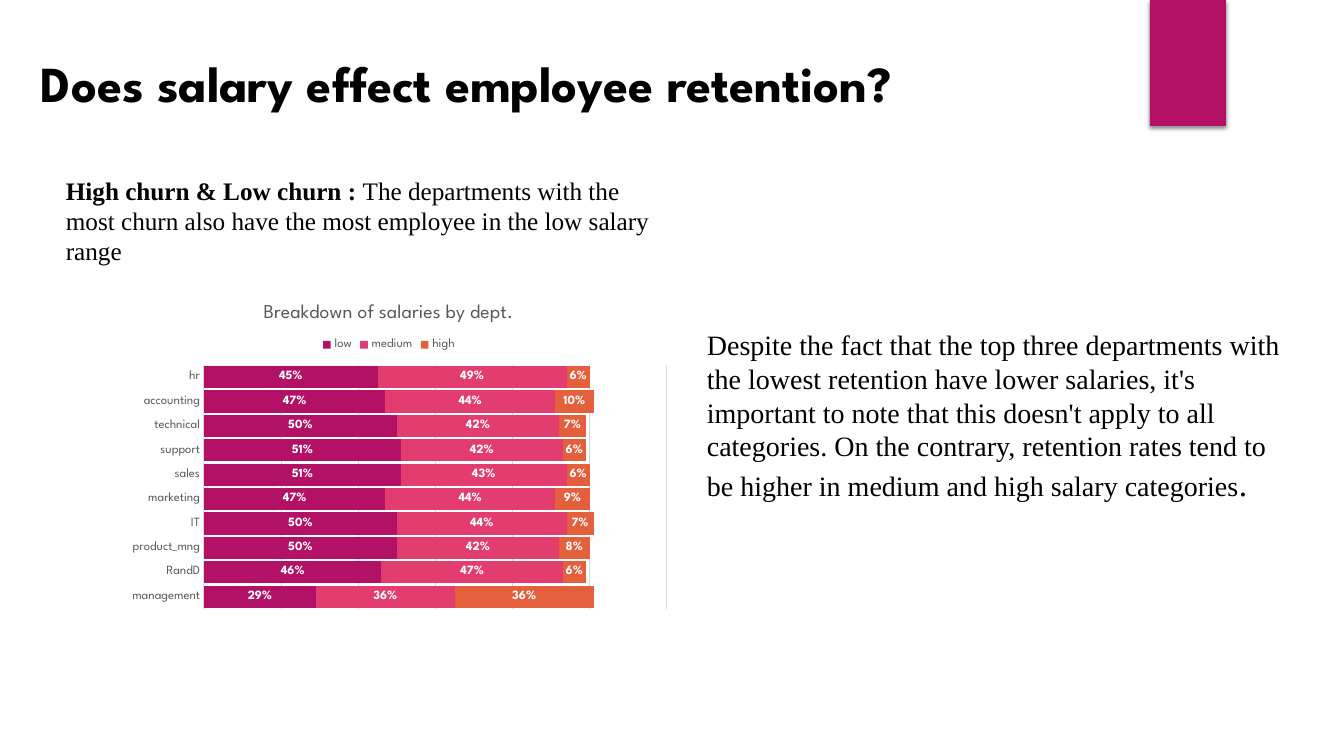
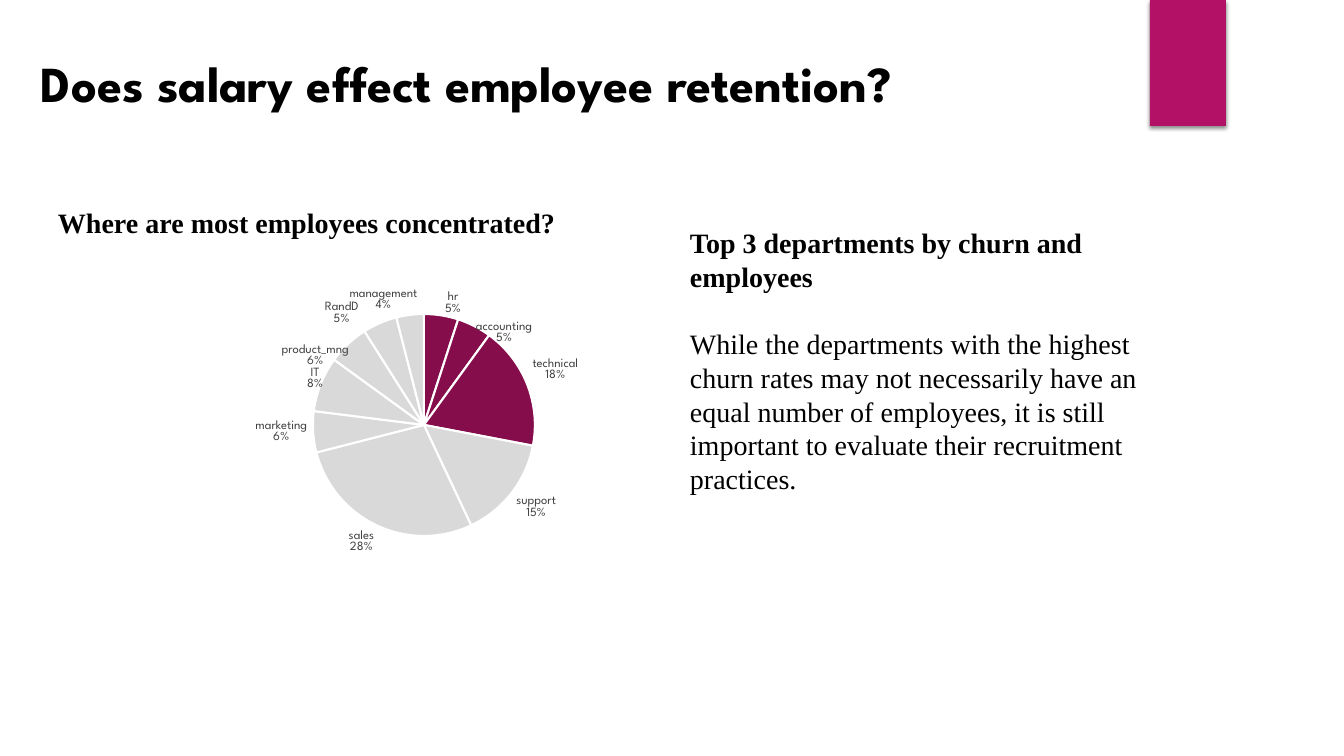
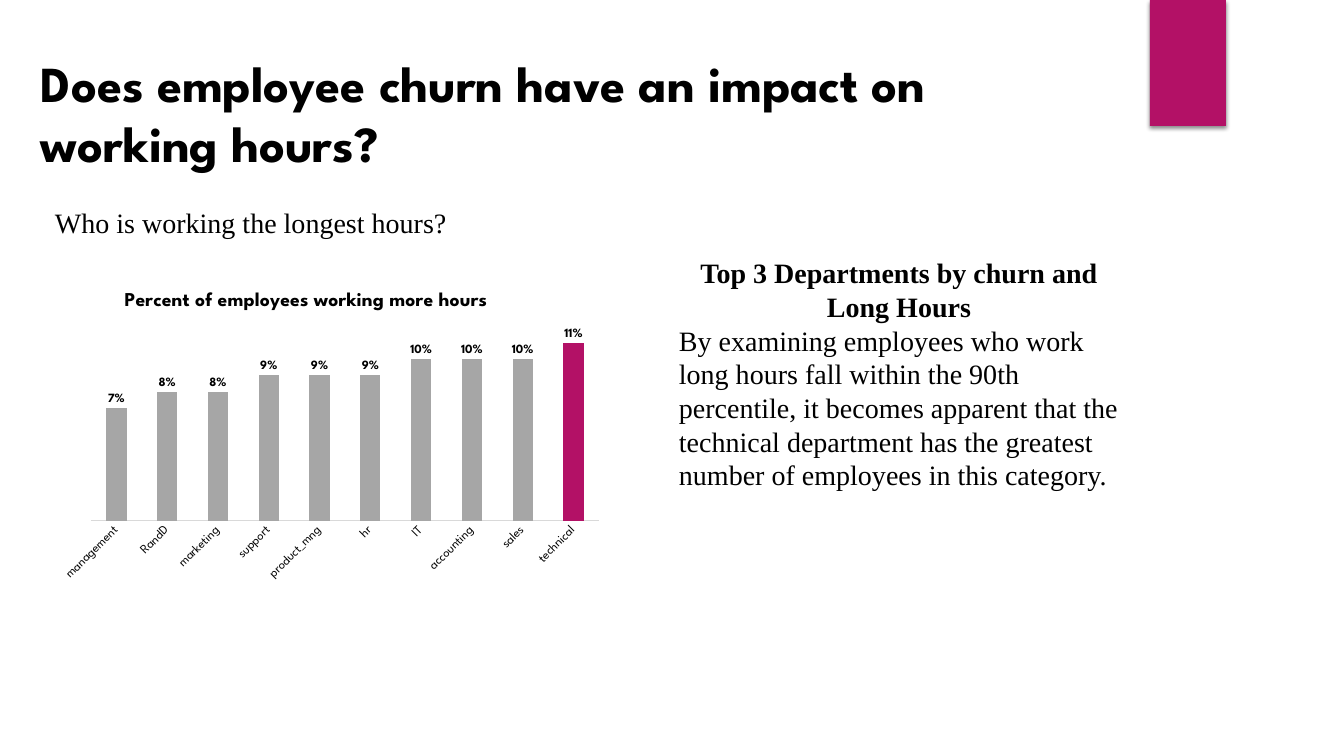
from lxml import etree
from pptx import Presentation
from pptx.chart.data import CategoryChartData
from pptx.dml.color import RGBColor
from pptx.enum.chart import XL_CHART_TYPE, XL_LABEL_POSITION, XL_LEGEND_POSITION, XL_TICK_MARK
from pptx.enum.shapes import MSO_SHAPE
from pptx.enum.text import MSO_ANCHOR, PP_ALIGN
from pptx.oxml import parse_xml
from pptx.oxml.ns import nsdecls, qn
from pptx.util import Emu, Pt

SCALE = 914400 / 100.8
COLORS = {
    "magenta": "B31166", "pink": "E33D6F", "orange": "E45F3C", "plum": "860D4C",
    "black": "000000", "white": "FFFFFF", "dark": "404040", "label": "595959",
    "bar": "A6A6A6", "light": "D9D9D9",
}
HEADING_FONT = "League Spartan"
BODY_FONT = "Times New Roman"
BAR_STACKED = XL_CHART_TYPE.BAR_STACKED
COLUMN_STACKED = XL_CHART_TYPE.COLUMN_STACKED
PIE = XL_CHART_TYPE.PIE
CENTER_LABEL = XL_LABEL_POSITION.CENTER
INSIDE_END = XL_LABEL_POSITION.INSIDE_END
OUTSIDE_END = XL_LABEL_POSITION.OUTSIDE_END
LEGEND_TOP = XL_LEGEND_POSITION.TOP
NO_TICK = XL_TICK_MARK.NONE
RECTANGLE = MSO_SHAPE.RECTANGLE
TOP = MSO_ANCHOR.TOP
LEFT, CENTER = PP_ALIGN.LEFT, PP_ALIGN.CENTER

DEPARTMENTS = ["hr", "accounting", "technical", "support", "sales",
               "marketing", "IT", "product_mng", "RandD", "management"]
SALARIES = {
    "low": ("magenta", [0.45, 0.47, 0.5, 0.51, 0.51, 0.47, 0.5, 0.5, 0.46, 0.29]),
    "medium": ("pink", [0.49, 0.44, 0.42, 0.42, 0.43, 0.44, 0.44, 0.42, 0.47, 0.36]),
    "high": ("orange", [0.06, 0.1, 0.07, 0.06, 0.06, 0.09, 0.07, 0.08, 0.06, 0.36]),
}
HEADCOUNT = [5, 5, 18, 15, 28, 6, 8, 6, 5, 4]
LONG_HOURS = {
    "management": 0.07, "RandD": 0.08, "marketing": 0.08, "support": 0.09,
    "product_mng": 0.09, "hr": 0.09, "IT": 0.1, "accounting": 0.1,
    "sales": 0.1, "technical": 0.11,
}


def px(value):
    """Turn pixels into EMU."""
    return Emu(round(value * SCALE))


def rgb(name):
    """Look up a named colour."""
    return RGBColor.from_string(COLORS[name])


def style_font(font, size, color="black", bold=False, family=HEADING_FONT):
    """Set family, size, colour and weight."""
    font.name = family
    font.size = Pt(size)
    font.bold = bold
    font.color.rgb = rgb(color)


def paint(part, color):
    """Fill a series or point with one colour."""
    part.format.fill.solid()
    part.format.fill.fore_color.rgb = rgb(color)


def add_text(page, frame, paragraphs, family=BODY_FONT, spacing=None):
    """Add a text box of (alignment, [(text, size, bold)]) paragraphs."""
    box = page.shapes.add_textbox(*map(px, frame))
    text_frame = box.text_frame
    text_frame.word_wrap = True
    text_frame.vertical_anchor = TOP
    for index, (alignment, spans) in enumerate(paragraphs):
        para = text_frame.paragraphs[0] if index == 0 else text_frame.add_paragraph()
        para.alignment = alignment
        para.line_spacing = spacing or Pt(spans[0][1] * 1.2)
        for text, size, bold in spans:
            span = para.add_run()
            span.text = text
            style_font(span.font, size, bold=bold, family=family)
    return box


def add_band(page):
    """Add the shadowed band at the top edge."""
    band = page.shapes.add_shape(RECTANGLE, *map(px, (1150, 0, 76, 126)))
    band.fill.solid()
    band.fill.fore_color.rgb = rgb("magenta")
    band.line.fill.background()
    band.shadow.inherit = False
    effects = band.element.spPr.find(qn("a:effectLst"))
    effects.append(parse_xml(
        f'<a:outerShdw {nsdecls("a")} blurRad="{Pt(3)}" dist="{Pt(2)}" dir="5400000" '
        f'algn="ctr" rotWithShape="0"><a:srgbClr val="{COLORS["black"]}">'
        '<a:alpha val="45000"/></a:srgbClr></a:outerShdw>'))


def add_page(deck, title, size):
    """Add a blank page with the shared band and title."""
    page = deck.slides.add_slide(deck.slide_layouts[6])
    add_band(page)
    add_text(page, (31, 47, *size), [(LEFT, [(title, 36, True)])], HEADING_FONT)
    return page


def add_chart(page, kind, frame, categories, series, number_format):
    """Add a chart and return it."""
    data = CategoryChartData(number_format=number_format)
    data.categories = categories
    for name, values in series.items():
        data.add_series(name, values)
    chart = page.shapes.add_chart(kind, *map(px, frame), data).chart
    style_font(chart.font, 10)
    chart.has_title = False
    chart.has_legend = False
    return chart


def set_layout(parent, index, size, **pixels):
    """Give a chart part a manual layout, with x, y, w, h in pixels."""
    for old in parent.findall(qn("c:layout")):
        parent.remove(old)
    layout = etree.Element(qn("c:layout"))
    manual = etree.SubElement(layout, qn("c:manualLayout"))
    settings = []
    if parent.tag == qn("c:plotArea"):
        settings.append(("layoutTarget", "inner"))
    if parent.tag != qn("c:dLbl"):
        settings += [("xMode", "edge"), ("yMode", "edge")]
    width, height = size
    for key, value in pixels.items():
        whole = width if key in "xw" else height
        settings.append((key, str(round(value / whole, 4))))
    for tag, value in settings:
        etree.SubElement(manual, qn(f"c:{tag}")).set("val", value)
    parent.insert(index, layout)


def set_plot_area(chart, size, x, y, w, h):
    """Place the inner plot area."""
    set_layout(chart.element.find(f".//{qn('c:plotArea')}"), 0, size, x=x, y=y, w=w, h=h)


def set_title(chart, size, text, x, y, color, bold):
    """Add a chart title at a fixed place."""
    chart.has_title = True
    span = chart.chart_title.text_frame.paragraphs[0].add_run()
    span.text = text
    style_font(span.font, 14, color, bold)
    set_layout(chart.chart_title.element, 1, size, x=x, y=y)


def style_labels(series, position, color, bold):
    """Show percentage labels on a series."""
    labels = series.data_labels
    labels.show_value = True
    labels.number_format = "0%"
    labels.number_format_is_linked = False
    labels.position = position
    style_font(labels.font, 9, color, bold)


def shift_labels(chart, size, offsets, position, color, bold):
    """Move single labels of the first series by pixel offsets."""
    series = chart.plots[0].series[0]
    for index in offsets:
        label = series.points[index].data_label
        style_font(label.font, 9, color, bold)
        label.position = position
    for element, (x, y) in zip(chart.element.iter(qn("c:dLbl")), offsets.values()):
        set_layout(element, 1, size, x=x, y=y)


def show_category_percent(chart):
    """Let all labels show the category above the percentage, without leader lines."""
    flags = {"showVal": "0", "showCatName": "1", "showPercent": "1"}
    for labels in chart.element.iter(qn("c:dLbl"), qn("c:dLbls")):
        for tag, value in flags.items():
            labels.find(qn(f"c:{tag}")).set("val", value)
        separator = etree.Element(qn("c:separator"))
        separator.text = "\n"
        labels.find(qn("c:showBubbleSize")).addnext(separator)
    for leader in chart.element.iter(qn("c:showLeaderLines")):
        leader.set("val", "0")


def style_axes(chart, color, maximum, step, gridlines):
    """Style the category axis and hide the value axis."""
    axis = chart.category_axis
    axis.major_tick_mark = axis.minor_tick_mark = NO_TICK
    axis.has_major_gridlines = False
    style_font(axis.tick_labels.font, 9, color)
    lines = [axis.format.line]
    values = chart.value_axis
    values.minimum_scale, values.maximum_scale, values.major_unit = 0, maximum, step
    values.has_major_gridlines = gridlines
    if gridlines:
        lines.append(values.major_gridlines.format.line)
    for line in lines:
        line.color.rgb = rgb("light")
        line.width = Pt(0.75)
    values.visible = False


def style_bars(chart, gap):
    """Set the gap and overlap of stacked bars."""
    plot = chart.plots[0]
    plot.vary_by_categories = False
    plot.gap_width = gap
    plot.overlap = 100


def add_salary_chart(page):
    """Add the stacked bars of salary ranges."""
    frame = (94, 287, 591, 361)
    size = frame[2:]
    shares = {name: values for name, (_, values) in SALARIES.items()}
    chart = add_chart(page, BAR_STACKED, frame, DEPARTMENTS, shares, "0%")
    set_title(chart, size, "Breakdown of salaries by dept.", 166, 12, "label", False)
    chart.has_legend = True
    chart.legend.position = LEGEND_TOP
    chart.legend.include_in_layout = False
    style_font(chart.legend.font, 9, "label")
    set_layout(chart.element.find(f".//{qn('c:legend')}"), 1, size, x=225, y=48)
    set_plot_area(chart, size, 110, 78, 463, 244)
    style_bars(chart, 10)
    style_axes(chart, "label", 1.2, 0.2, True)
    chart.category_axis.reverse_order = True
    for series, (color, _) in zip(chart.plots[0].series, SALARIES.values()):
        series.invert_if_negative = False
        paint(series, color)
        style_labels(series, CENTER_LABEL, "white", True)


def add_headcount_chart(page):
    """Add the pie of employees by department."""
    frame = (168, 271, 501, 301)
    size = frame[2:]
    chart = add_chart(page, PIE, frame, DEPARTMENTS, {"Series 1": HEADCOUNT}, "General")
    set_plot_area(chart, size, 145, 43, 222, 222)
    series = chart.plots[0].series[0]
    for index in range(len(DEPARTMENTS)):
        point = series.points[index]
        paint(point, "plum" if index < 3 else "light")
        point.format.line.color.rgb = rgb("white")
        point.format.line.width = Pt(1.5)
    style_labels(series, OUTSIDE_END, "dark", False)
    offsets = {0: (3, 6), 1: (-1, 24), 6: (8, 9), 7: (5, 28), 8: (-19, 8), 9: (8, 3)}
    shift_labels(chart, size, offsets, OUTSIDE_END, "dark", False)
    show_category_percent(chart)


def add_hours_chart(page):
    """Add the columns of employees working long hours."""
    frame = (53, 282, 557, 305)
    size = frame[2:]
    chart = add_chart(page, COLUMN_STACKED, frame, list(LONG_HOURS),
                      {"Series 1": list(LONG_HOURS.values())}, "0%")
    set_title(chart, size, "Percent of employees working more hours", 68, 5, "black", True)
    set_plot_area(chart, size, 38, 45, 508, 194)
    style_bars(chart, 150)
    style_axes(chart, "black", 0.12, 0.02, False)
    body = chart.element.find(f".//{qn('c:catAx')}/{qn('c:txPr')}/{qn('a:bodyPr')}")
    body.set("rot", "-2700000")
    body.set("vert", "horz")
    series = chart.plots[0].series[0]
    series.invert_if_negative = False
    paint(series, "bar")
    paint(series.points[len(LONG_HOURS) - 1], "magenta")
    style_labels(series, INSIDE_END, "black", True)
    offsets = {index: (0, -18) for index in range(len(LONG_HOURS))}
    shift_labels(chart, size, offsets, INSIDE_END, "black", True)


def build_salary_page(deck):
    """Build the page on salary ranges."""
    page = add_page(deck, "Does salary effect employee retention?", (1036, 89))
    add_text(page, (697, 323, 604, 186), [(LEFT, [
        ("Despite the fact that the top three departments with the lowest retention have "
         "lower salaries, it's important to note that this doesn't apply to all categories. "
         "On the contrary, retention rates tend to be higher in medium and high salary "
         "categories", 20, False),
        (".", 24, False)])], spacing=1.0)
    add_text(page, (56, 170, 611, 119), [(LEFT, [
        ("High churn & Low churn : ", 18, True),
        ("The departments with the most churn also have the most employee in the low "
         "salary range", 18, False)])])
    add_salary_chart(page)


def build_headcount_page(deck):
    """Build the page on where employees work."""
    page = add_page(deck, "Does salary effect employee retention?", (1036, 89))
    box = add_text(page, (680, 221, 500, 281), [
        (LEFT, [("Top 3 departments by churn and employees", 20, True)]),
        (LEFT, [("While the departments with the highest churn rates may not necessarily "
                 "have an equal number of employees, it is still important to evaluate "
                 "their recruitment practices.", 20, False)])])
    box.text_frame.paragraphs[1].space_before = Pt(24)
    add_text(page, (48, 201, 591, 72),
             [(LEFT, [("Where are most employees concentrated?", 20, True)])])
    add_headcount_chart(page)


def build_hours_page(deck):
    """Build the page on working hours."""
    page = add_page(deck, "Does employee churn have an impact on working hours?", (1082, 122))
    add_text(page, (669, 251, 460, 350), [
        (CENTER, [("Top 3 Departments by churn and Long Hours", 20, True)]),
        (LEFT, [("By examining employees who work long hours fall within the 90th "
                 "percentile, it becomes apparent that the technical department has the "
                 "greatest number of employees in this category.", 20, False)])])
    add_text(page, (45, 201, 591, 72),
             [(LEFT, [("Who is working the longest hours?", 20, False)])])
    add_hours_chart(page)


def main():
    """Build and save the deck."""
    deck = Presentation()
    deck.slide_width, deck.slide_height = px(1344), px(756)
    build_salary_page(deck)
    build_headcount_page(deck)
    build_hours_page(deck)
    deck.save("out.pptx")


if __name__ == "__main__":
    main()
